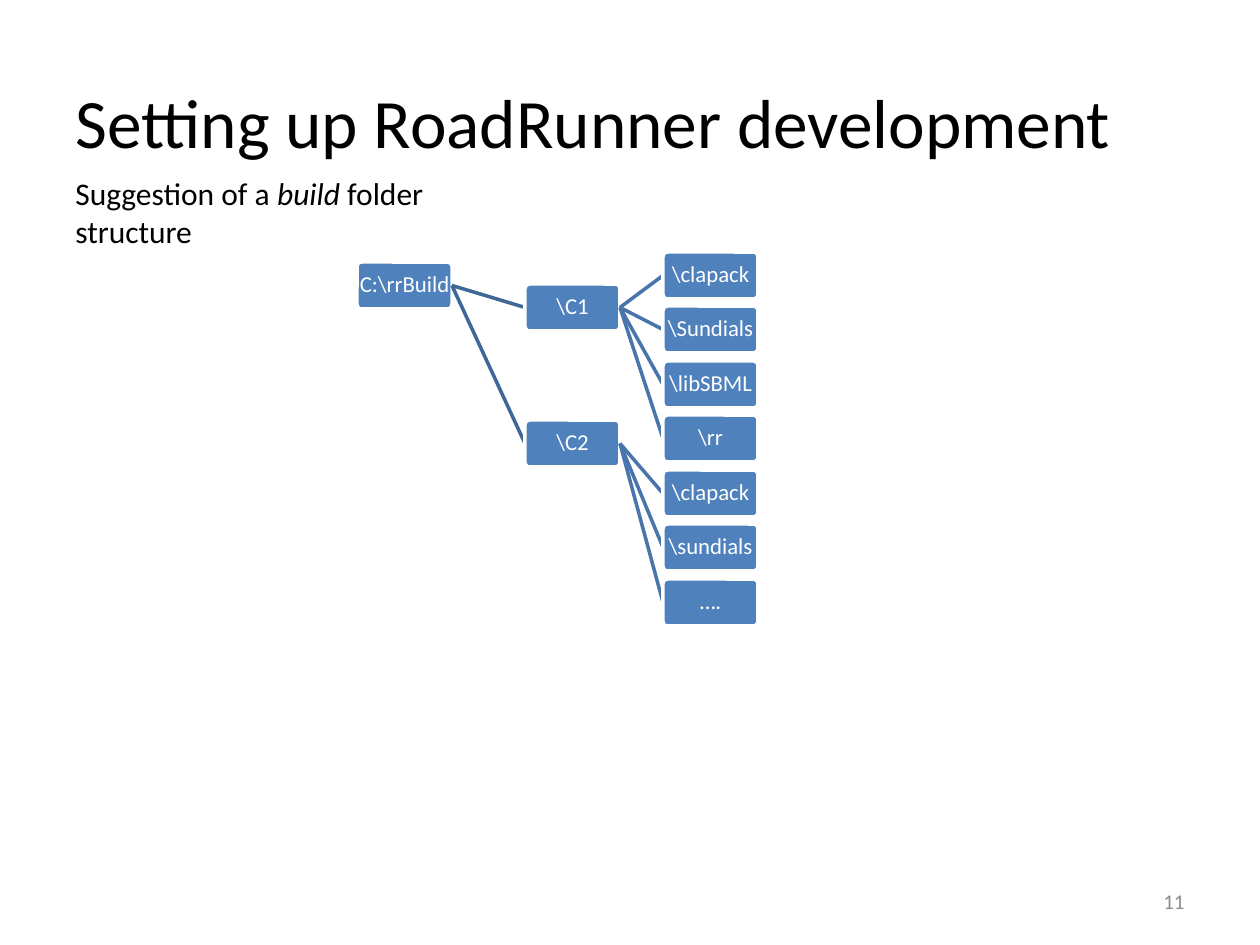
"""Builds a slide with a tree of suggested build folders."""
from dataclasses import dataclass

import pptx
import pptx.dml.color
import pptx.enum.shapes
import pptx.enum.text
import pptx.util
from lxml import etree

EMU_PER_PIXEL = 914400 / 126
FONT = "Calibri"
BLACK, WHITE, GREY = "000000", "FFFFFF", "8C8C8C"
BOX_FILL = "4F81BD"
BOX_WIDTH, BOX_HEIGHT = 95, 47
COLUMN_LEFTS = (357, 525, 663)
LINK_COLORS = ("3F6797", "4875AC")
LEAF_TOP, TWO_LEAF_STEPS = 252, 109
ALIGN = pptx.enum.text.PP_ALIGN
ANCHOR = pptx.enum.text.MSO_ANCHOR


@dataclass
class Branch:
    """A second-level folder with the folders inside it."""
    name: str
    top: int
    leaves: tuple[str, ...]


ROOT_NAME, ROOT_TOP = "C:\\rrBuild", 262
BRANCHES = (
    Branch("\\C1", 284, ("\\clapack", "\\Sundials", "\\libSBML", "\\rr")),
    Branch("\\C2", 420, ("\\clapack", "\\sundials", "\u2026.")),
)


def px(pixels: float) -> int:
    """Turn pixels into EMU."""
    return round(pixels * EMU_PER_PIXEL)


def rgb(value: str) -> pptx.dml.color.RGBColor:
    """Turn a hex string into a colour."""
    return pptx.dml.color.RGBColor.from_string(value)


def format_text(shape, size: float, color: str, align=ALIGN.LEFT) -> None:
    """Set font and alignment of all text in a shape."""
    for para in shape.text_frame.paragraphs:
        para.alignment = align
        for span in para.runs:
            span.font.name = FONT
            span.font.size = pptx.util.Pt(size)
            span.font.color.rgb = rgb(color)


def add_title(page) -> None:
    """Fill and place the title placeholder."""
    title = page.shapes.title
    title.left, title.top, title.width, title.height = px(63), px(42), px(1134), px(157)
    title.text_frame.text = "Setting up RoadRunner development"
    title.text_frame.vertical_anchor = ANCHOR.MIDDLE
    format_text(title, 39.6, BLACK)


def add_subtitle(page) -> None:
    """Add the two-line text under the title."""
    box = page.shapes.add_textbox(px(63), px(168), px(379), px(89))
    frame = box.text_frame
    frame.word_wrap = False
    frame.auto_size = pptx.enum.text.MSO_AUTO_SIZE.SHAPE_TO_FIT_TEXT
    first = frame.paragraphs[0]
    for words in ("Suggestion of a ", "build", " folder"):
        first.add_run().text = words
    first.runs[1].font.italic = True
    frame.add_paragraph().text = "structure"
    format_text(box, 18, BLACK)


def add_page_number(page) -> None:
    """Add the page number at the bottom right."""
    box = page.shapes.add_textbox(px(903), px(876), px(294), px(50))
    box.text_frame.word_wrap = True
    box.text_frame.vertical_anchor = ANCHOR.MIDDLE
    box.text_frame.text = "11"
    format_text(box, 12, GREY, ALIGN.RIGHT)


def add_folder(page, name: str, level: int, top: int) -> None:
    """Add one folder box in the column of its level."""
    box = page.shapes.add_shape(
        pptx.enum.shapes.MSO_SHAPE.ROUNDED_RECTANGLE,
        px(COLUMN_LEFTS[level]), px(top), px(BOX_WIDTH), px(BOX_HEIGHT))
    box.adjustments[0] = 0.1
    box.shadow.inherit = False
    box.fill.solid()
    box.fill.fore_color.rgb = rgb(BOX_FILL)
    box.line.color.rgb = rgb(WHITE)
    box.line.width = pptx.util.Pt(2)
    frame = box.text_frame
    frame.margin_left = frame.margin_right = px(1)
    frame.margin_top = frame.margin_bottom = px(1)
    frame.word_wrap = False
    frame.vertical_anchor = ANCHOR.MIDDLE
    frame.text = name
    frame.paragraphs[0].line_spacing = 0.9
    format_text(box, 13, WHITE, ALIGN.CENTER)


def add_link(page, level: int, parent_top: int, child_top: int) -> None:
    """Join a folder to one in the next column."""
    middle = BOX_HEIGHT / 2
    link = page.shapes.add_connector(
        pptx.enum.shapes.MSO_CONNECTOR.STRAIGHT,
        px(COLUMN_LEFTS[level] + BOX_WIDTH), px(parent_top + middle),
        px(COLUMN_LEFTS[level + 1]), px(child_top + middle))
    link.line.color.rgb = rgb(LINK_COLORS[level])
    link.line.width = pptx.util.Pt(2)
    etree.SubElement(link._element.spPr, pptx.oxml.ns.qn("a:effectLst"))


def add_tree(page) -> None:
    """Draw the folder tree from the root to the leaves."""
    add_folder(page, ROOT_NAME, 0, ROOT_TOP)
    row = 0
    for branch in BRANCHES:
        add_link(page, 0, ROOT_TOP, branch.top)
        add_folder(page, branch.name, 1, branch.top)
        for leaf in branch.leaves:
            leaf_top = LEAF_TOP + row * TWO_LEAF_STEPS // 2
            add_link(page, 1, branch.top, leaf_top)
            add_folder(page, leaf, 2, leaf_top)
            row += 1


def main() -> None:
    """Build and save the deck."""
    deck = pptx.Presentation()
    deck.slide_width, deck.slide_height = px(1260), px(945)
    page = deck.slides.add_slide(deck.slide_layouts.get_by_name("Title Only"))
    add_title(page)
    add_page_number(page)
    add_tree(page)
    add_subtitle(page)
    deck.save("out.pptx")


main()
